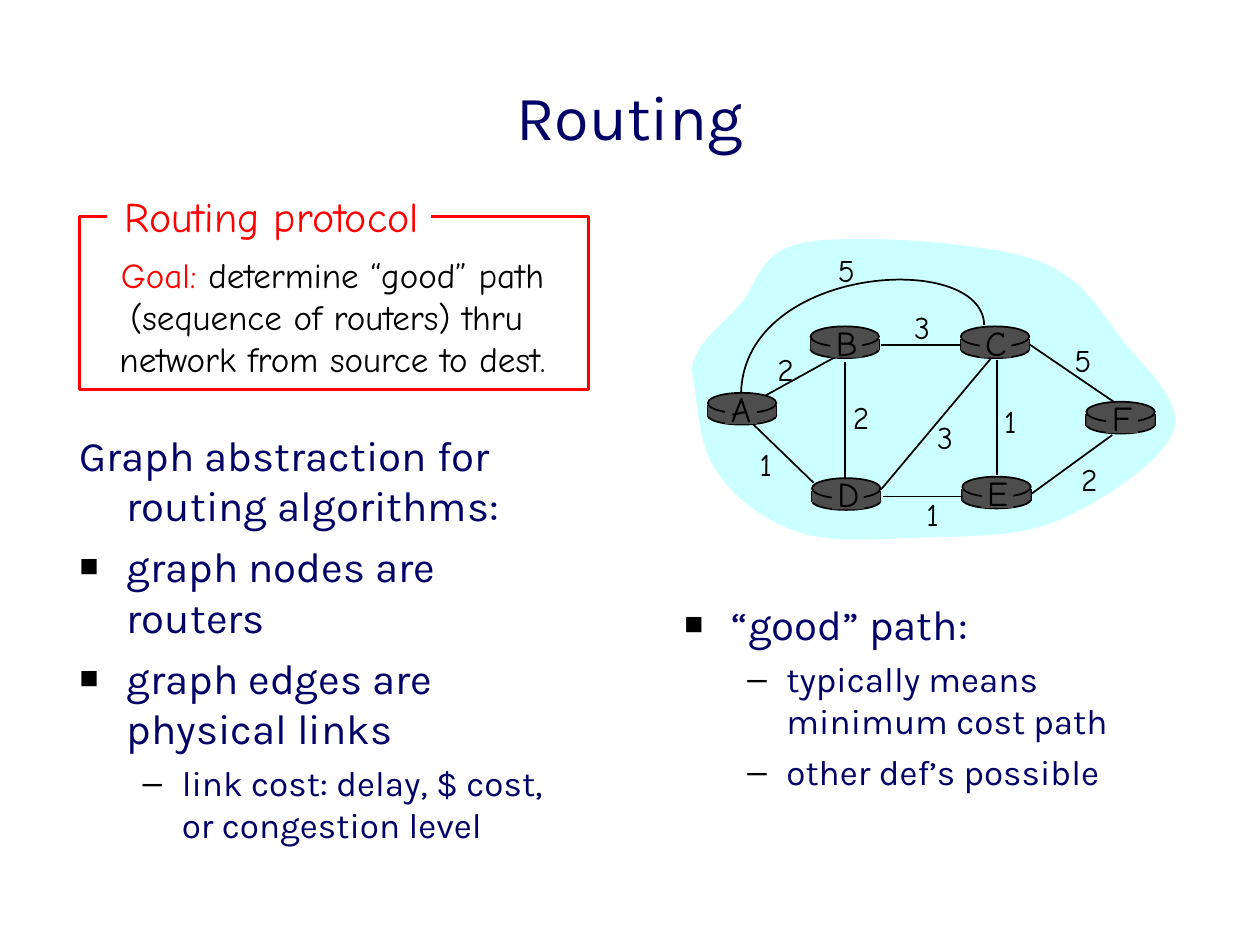
from dataclasses import dataclass
from typing import NamedTuple

from lxml.etree import SubElement
from pptx import Presentation
from pptx.dml.color import RGBColor
from pptx.enum.shapes import MSO_CONNECTOR, MSO_SHAPE
from pptx.enum.text import MSO_ANCHOR, MSO_AUTO_SIZE, PP_ALIGN
from pptx.oxml.ns import qn
from pptx.util import Cm, Pt


@dataclass(frozen=True)
class Theme:
    navy: str = "000066"
    red: str = "FF0000"
    black: str = "000000"
    white: str = "FFFFFF"
    cloud: str = "CCFFFF"
    router: str = "4D4D4D"
    body_font: str = "Karla"
    note_font: str = "Comic Neue"
    title: int = 36
    heading: int = 24
    text: int = 20
    weight: int = 18


class Router(NamedTuple):
    name: str
    left: float
    top: float
    label_x: float


class Link(NamedTuple):
    start: tuple[float, float]
    end: tuple[float, float]


class Weight(NamedTuple):
    text: str
    x: float
    y: float


class Item(NamedTuple):
    text: str
    bullet: str = ""
    level: int = 0


T = Theme()

# All positions are in centimetres
ROUTERS = [
    Router("A", 14.27, 7.92, 14.94), Router("D", 16.37, 9.64, 17.09),
    Router("B", 16.34, 6.58, 17.06), Router("C", 19.37, 6.58, 20.07),
    Router("E", 19.4, 9.61, 20.11), Router("F", 21.9, 8.1, 22.62),
]
LINK_AB = Link((15.42, 7.98), (16.94, 7.14))
LINKS = [
    Link((20.1, 7.26), (20.1, 9.58)), Link((17.04, 7.29), (17.04, 9.65)),
    Link((17.76, 9.87), (19.98, 7.22)), Link((20.8, 9.95), (22.42, 8.77)),
    Link((19.41, 10.01), (17.81, 10.01)), Link((16.4, 9.73), (15.19, 8.56)),
    Link((19.38, 6.96), (17.76, 6.96)), Link((22.48, 8.12), (20.75, 6.94)),
]
WEIGHTS = [
    Weight("2", 15.84, 7.44), Weight("2", 17.36, 8.41), Weight("1", 15.44, 9.35),
    Weight("3", 19.05, 8.81), Weight("1", 18.8, 10.36), Weight("1", 20.37, 8.48),
    Weight("2", 21.96, 9.65), Weight("5", 21.83, 7.26), Weight("3", 18.59, 6.6),
    Weight("5", 17.06, 5.44),
]
# Curves: a start point, then two control points and an end point per segment
CLOUD = [
    (13.94, 7.47), (13.97, 6.96), (14.53, 6.58), (14.91, 6.15),
    (15.29, 5.72), (15.29, 5.03), (16.28, 4.88), (17.25, 4.72), (19.74, 4.88), (20.78, 5.21),
    (21.84, 5.54), (22.15, 6.27), (22.63, 6.86), (23.09, 7.44), (23.88, 8.1), (23.65, 8.71),
    (23.42, 9.32), (22.15, 10.16), (21.26, 10.52), (20.37, 10.87), (19.2, 10.8), (18.31, 10.85),
    (17.45, 10.87), (16.64, 10.95), (16, 10.69), (15.34, 10.46), (14.73, 9.98), (14.4, 9.42),
    (14.05, 8.89), (14.05, 7.87), (13.94, 7.47),
]
ARC_AC = [(19.84, 6.55), (19.81, 5.05), (15.04, 5.33), (14.94, 7.9)]

SQUARE, DASH = "■", "–"
LEFT_ITEMS = [
    Item("Graph abstraction for routing algorithms:"),
    Item("graph nodes are routers", SQUARE),
    Item("graph edges are physical links", SQUARE),
    Item("link cost: delay, $ cost, or congestion level", DASH, 1),
]
RIGHT_ITEMS = [
    Item("“good” path:", SQUARE),
    Item("typically means minimum cost path", DASH, 1),
    Item("other def’s possible", DASH, 1),
]


def style_run(r, font: str, size: int, color: str) -> None:
    r.font.name, r.font.size = font, Pt(size)
    r.font.color.rgb = RGBColor.from_string(color)


def style_shape(sp, fill: str = "", line: str = "", width: float = 1) -> None:
    sp.shadow.inherit = False
    if fill:
        sp.fill.solid()
        sp.fill.fore_color.rgb = RGBColor.from_string(fill)
    else:
        sp.fill.background()
    if line:
        sp.line.color.rgb = RGBColor.from_string(line)
        sp.line.width = Pt(width)
    else:
        sp.line.fill.background()


def place(sp, box: tuple) -> None:
    sp.left, sp.top, sp.width, sp.height = map(Cm, box)


def add_block(shapes, kind, box: tuple, fill: str = "", line: str = "", width: float = 1) -> None:
    style_shape(shapes.add_shape(kind, *map(Cm, box)), fill, line, width)


def add_text(shapes, box: tuple, lines: list, size: int, wrap: bool = False) -> None:
    """Centred text; each line is a list of (text, colour) pairs."""
    tf = shapes.add_textbox(*map(Cm, box)).text_frame
    tf.word_wrap = wrap
    for i, parts in enumerate(lines):
        p = tf.paragraphs[0] if i == 0 else tf.add_paragraph()
        p.alignment = PP_ALIGN.CENTER
        for text, color in parts:
            r = p.add_run()
            r.text = text
            style_run(r, T.note_font, size, color)


def add_link(shapes, link: Link) -> None:
    cn = shapes.add_connector(MSO_CONNECTOR.STRAIGHT, *map(Cm, link.start + link.end))
    cn.line.color.rgb = RGBColor.from_string(T.black)
    cn.line.width = Pt(1)
    SubElement(cn._element.spPr, qn("a:effectLst"))


def add_curve(shapes, points: list, closed: bool, fill: str = "", line: str = "") -> None:
    pts = [(Cm(x), Cm(y)) for x, y in points]
    fb = shapes.build_freeform(*pts[0])
    fb.add_line_segments(pts[1:], close=closed)
    sp = fb.convert_to_shape()
    # Merge every three straight steps into one cubic segment
    steps = list(sp._element.iter(qn("a:lnTo")))
    for i in range(0, len(steps), 3):
        cubic = steps[i].makeelement(qn("a:cubicBezTo"))
        steps[i].addprevious(cubic)
        for step in steps[i:i + 3]:
            cubic.append(step[0])
            step.getparent().remove(step)
    style_shape(sp, fill, line)


def add_router(shapes, router: Router) -> None:
    x, y, w = router.left, router.top, 1.38
    add_block(shapes, MSO_SHAPE.OVAL, (x, y + 0.28, w, 0.36), T.router, T.black)
    for side in (x, x + w):
        add_link(shapes, Link((side, y + 0.25), (side, y + 0.48)))
    add_block(shapes, MSO_SHAPE.RECTANGLE, (x, y + 0.25, w, 0.23), T.router)
    add_block(shapes, MSO_SHAPE.OVAL, (x, y, w, 0.41), T.router, T.black)


def add_router_label(shapes, router: Router) -> None:
    x, y = router.label_x, router.top
    add_block(shapes, MSO_SHAPE.RECTANGLE, (x - 0.32, y + 0.05, 0.64, 0.58), T.router)
    add_text(shapes, (x - 0.46, y - 0.23, 0.92, 1.12), [[(router.name, T.black)]], T.text)


def set_bullet(p, item: Item) -> None:
    indent = Cm(0.79) if item.level else Cm(0.95)
    pPr = p._p.get_or_add_pPr()
    pPr.set("marL", str(Cm(2.06) if item.level else indent))
    pPr.set("indent", str(-indent))
    if not item.bullet:
        SubElement(pPr, qn("a:buNone"))
        return
    SubElement(SubElement(pPr, qn("a:buClr")), qn("a:srgbClr"), val=T.black)
    SubElement(pPr, qn("a:buSzPct"), val="100000" if item.level else "75000")
    SubElement(pPr, qn("a:buChar"), char=item.bullet)


def fill_list(sp, box: tuple, items: list[Item]) -> None:
    place(sp, box)
    tf = sp.text_frame
    tf.auto_size = MSO_AUTO_SIZE.NONE
    for i, item in enumerate(items):
        p = tf.paragraphs[0] if i == 0 else tf.add_paragraph()
        p.text, p.level = item.text, item.level
        set_bullet(p, item)
        p.space_before = Pt(0 if i == 0 else 5 if item.level else 6)
        style_run(p.runs[0], T.body_font, T.text if item.level else T.heading, T.navy)


def main() -> None:
    prs = Presentation()
    prs.slide_width, prs.slide_height = Cm(25.4), Cm(19.05)
    slide = prs.slides.add_slide(prs.slide_layouts[3])
    shapes = slide.shapes

    # Title and lists
    title = shapes.title
    place(title, (1.9, 0.64, 21.59, 3.38))
    title.text_frame.text = "Routing"
    title.text_frame.vertical_anchor = MSO_ANCHOR.MIDDLE
    title.text_frame.paragraphs[0].alignment = PP_ALIGN.CENTER
    style_run(title.text_frame.paragraphs[0].runs[0], T.body_font, T.title, T.navy)
    fill_list(slide.placeholders[1], (1.35, 8.53, 10.59, 9.65), LEFT_ITEMS)
    fill_list(slide.placeholders[2], (13.54, 11.94, 10.59, 4.72), RIGHT_ITEMS)

    # Framed goal with its heading set into the border
    add_text(shapes, (1.55, 4.98, 10.31, 2.79), [
        [("Goal:", T.red), (" determine “good” path", T.black)],
        [("(sequence of routers) thru ", T.black)],
        [("network from source to dest.", T.black)],
    ], T.text, wrap=True)
    add_block(shapes, MSO_SHAPE.RECTANGLE, (1.6, 4.37, 10.26, 3.48), line=T.red, width=1.5)
    add_block(shapes, MSO_SHAPE.RECTANGLE, (2.16, 3.86, 6.53, 0.99), T.white)
    add_text(shapes, (2.24, 3.71, 6.48, 1.27), [[("Routing protocol", T.red)]], T.heading)

    # Network graph
    network = shapes.add_group_shape().shapes
    add_curve(network, CLOUD, True, fill=T.cloud)
    add_link(network, LINK_AB)
    for router in ROUTERS:
        add_router(network, router)
    for link in LINKS:
        add_link(network, link)
    add_curve(network, ARC_AC, False, line=T.black)
    for router in ROUTERS:
        add_router_label(network, router)
    for weight in WEIGHTS:
        box = (weight.x - 0.42, weight.y - 0.51, 0.84, 1.02)
        add_text(network, box, [[(weight.text, T.black)]], T.weight)

    prs.save("out.pptx")


if __name__ == "__main__":
    main()
